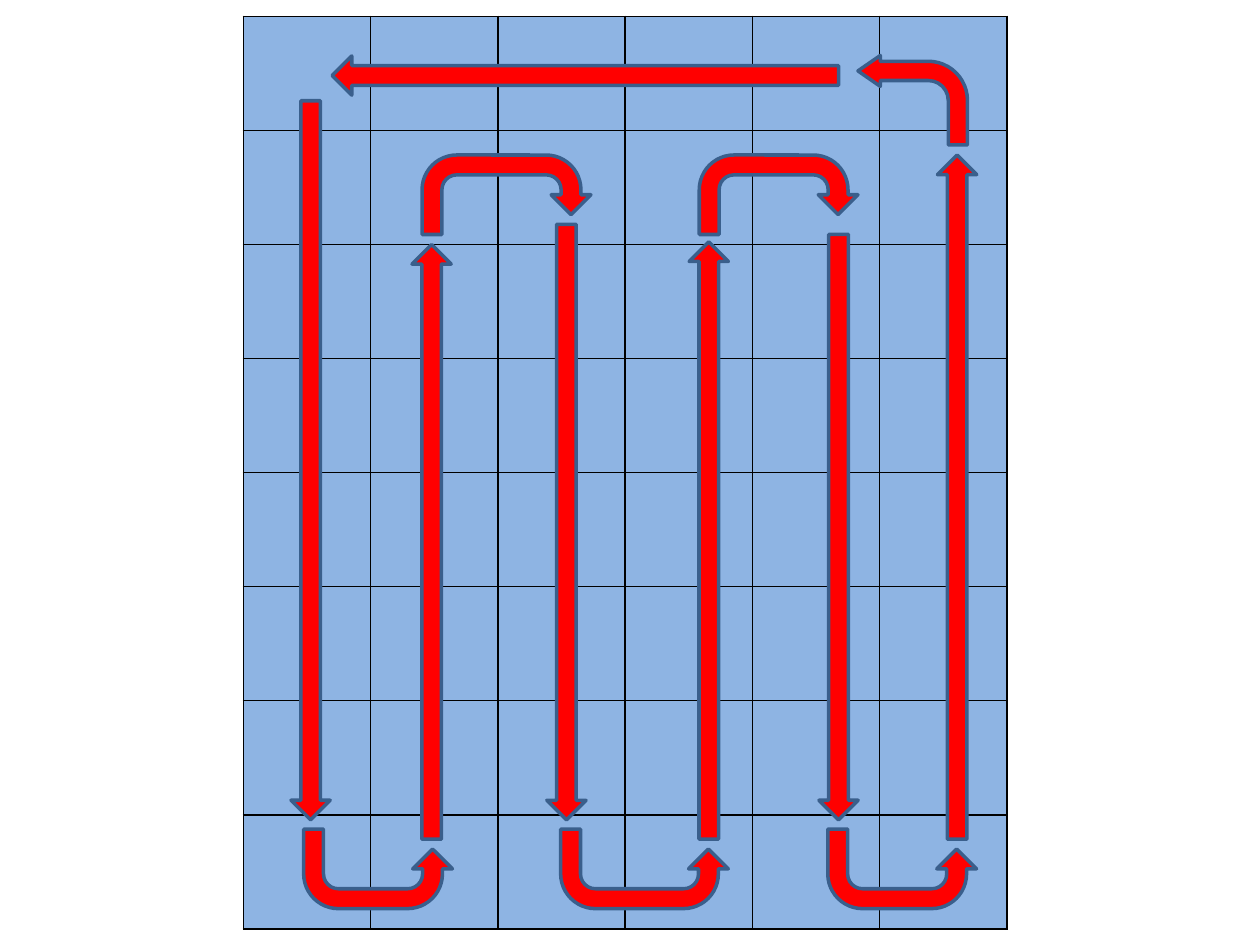
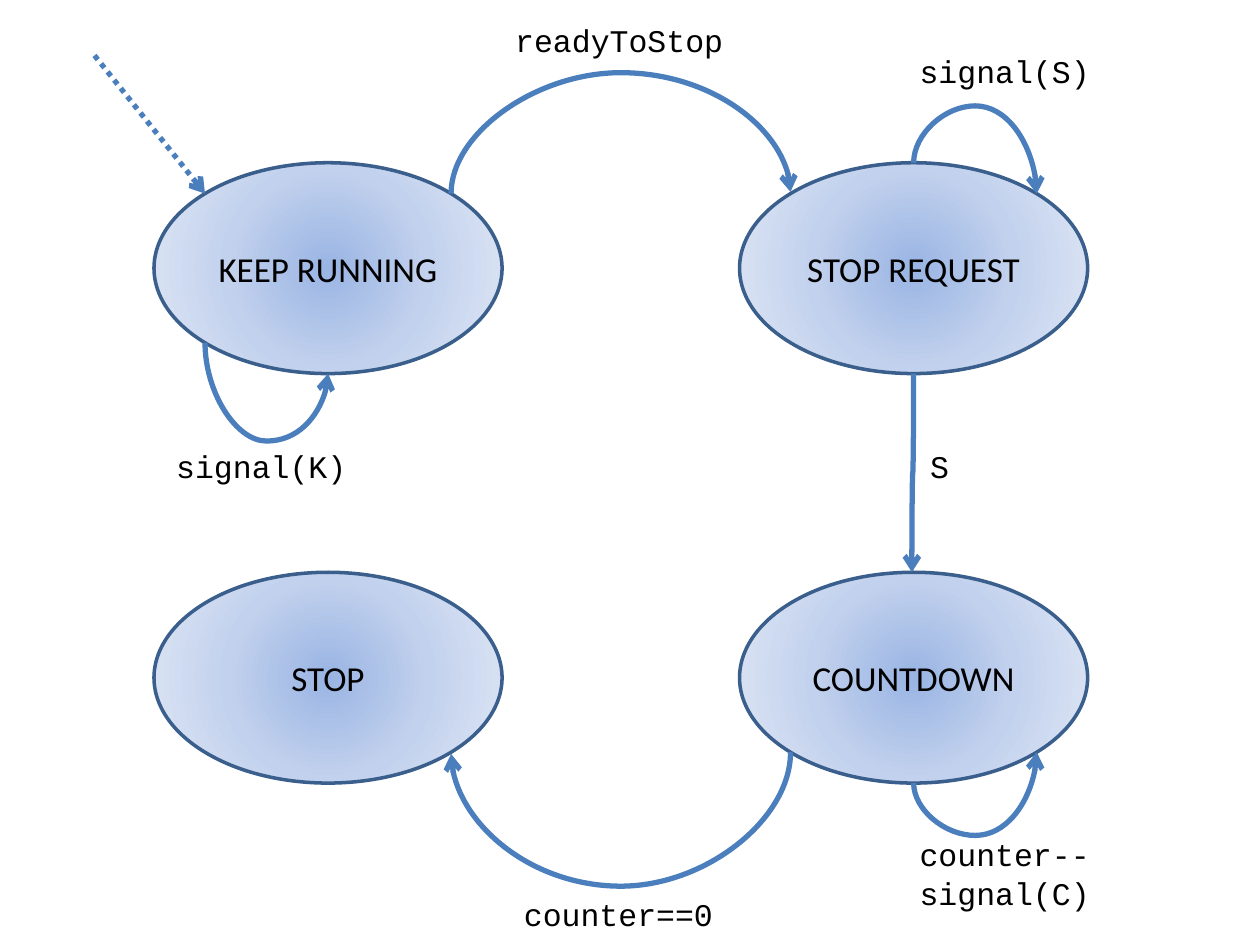
from dataclasses import dataclass
from math import cos, pi, sin
from typing import Optional

from lxml.etree import SubElement
from pptx import Presentation
from pptx.dml.color import RGBColor
from pptx.enum.dml import MSO_LINE
from pptx.enum.shapes import MSO_CONNECTOR as Wire, MSO_SHAPE as Preset
from pptx.enum.text import MSO_ANCHOR, MSO_AUTO_SIZE, PP_ALIGN
from pptx.oxml import parse_xml
from pptx.oxml.ns import nsdecls, qn
from pptx.util import Pt

COLOURS = {
    "cell": "8EB4E3", "border": "000000", "arrow": "FF0000", "outline": "3A5F8C",
    "wire": "4B7EBC", "text": "000000",
    "core": "9AB5E4", "middle": "C2D1ED", "rim": "E1E8F5",
}
STATE_FONT = {"name": "Calibri", "size": Pt(20)}
LABEL_FONT = {"name": "Courier New", "size": Pt(18)}
STATE_SIZE = (198.9, 120.5)
ARROW_WIDTH = 22.4
TURN_HEIGHT = 45.4

# Connection sites of an ellipse, counted anticlockwise from the top
TOP, TOP_LEFT, BOTTOM_LEFT, BOTTOM, BOTTOM_RIGHT, TOP_RIGHT = 0, 1, 3, 4, 5, 7


@dataclass(frozen=True)
class Arrow:
    preset: Preset
    left: float
    top: float
    width: float
    height: float
    rotation: int = 0
    flipped: bool = False
    adjustments: tuple = ()


@dataclass(frozen=True)
class State:
    text: str
    left: float
    top: float

    def site(self, index: int) -> tuple[float, float]:
        width, height = STATE_SIZE
        angle = index * pi / 4
        return (self.left + width / 2 * (1 - sin(angle)),
                self.top + height / 2 * (1 - cos(angle)))


@dataclass(frozen=True)
class Transition:
    source: State
    source_site: int
    target: State
    target_site: int
    bend: float


@dataclass(frozen=True)
class Label:
    text: str
    left: float
    top: float
    width: float
    align: Optional[PP_ALIGN] = None


def rgb(name: str) -> RGBColor:
    return RGBColor.from_string(COLOURS[name])


def set_line(shape, colour: str, width: float) -> None:
    shape.line.color.rgb = rgb(colour)
    shape.line.width = Pt(width)


def write(frame, text: str, font: dict, align: Optional[PP_ALIGN]) -> None:
    para = frame.paragraphs[0]
    para.alignment = align
    span = para.add_run()
    span.text = text
    for name, value in font.items():
        setattr(span.font, name, value)
    span.font.color.rgb = rgb("text")


# Sweep path over a grid
def draw_grid(page, rows: int, columns: int) -> None:
    table = page.shapes.add_table(rows, columns, Pt(139), Pt(9.4), Pt(436.5), Pt(521.5)).table
    table.first_row = table.horz_banding = False
    for cell in table.iter_cells():
        props = cell._tc.get_or_add_tcPr()
        for side in ("lnL", "lnR", "lnT", "lnB"):
            props.append(parse_xml(
                f'<a:{side} {nsdecls("a")} w="{Pt(1)}"><a:solidFill>'
                f'<a:srgbClr val="{COLOURS["border"]}"/></a:solidFill></a:{side}>'))
        cell.fill.solid()
        cell.fill.fore_color.rgb = rgb("cell")


def draw_arrow(page, arrow: Arrow) -> None:
    shape = page.shapes.add_shape(
        arrow.preset, Pt(arrow.left), Pt(arrow.top), Pt(arrow.width), Pt(arrow.height))
    shape.shadow.inherit = False
    shape.rotation = arrow.rotation
    if arrow.flipped:
        shape._element.spPr.xfrm.set("flipH", "1")
    for index, value in enumerate(arrow.adjustments):
        shape.adjustments[index] = value
    shape.fill.solid()
    shape.fill.fore_color.rgb = rgb("arrow")
    set_line(shape, "outline", 2)


def sweep_arrows() -> list[Arrow]:
    lanes = [(166.3, 57.6), (235.4, 139.7), (312.5, 128.2),
             (393.8, 138.2), (468, 133.9), (535.7, 88.6)]
    lower_turns = [(173.5, 85), (320.4, 95.8), (473, 85)]
    upper_turns = [(241.2, 96.5), (399.6, 90.7)]
    arrows = []
    for index, (left, top) in enumerate(lanes):
        upward = index % 2 == 1
        bottom = 479.5 if upward else 468.5
        arrows.append(Arrow(Preset.DOWN_ARROW, left, top, ARROW_WIDTH, bottom - top,
                            180 if upward else 0))
    arrows += [Arrow(Preset.U_TURN_ARROW, left, 473.8, width, TURN_HEIGHT, 180, True)
               for left, width in lower_turns]
    arrows += [Arrow(Preset.U_TURN_ARROW, left, 88.6, width, TURN_HEIGHT)
               for left, width in upper_turns]
    # Way back along the top row
    arrows.append(Arrow(Preset.BENT_ARROW, 490.3, 31.7, 62.6, 51.1, flipped=True,
                        adjustments=(0.215, 0.173, 0.25, 0.438)))
    arrows.append(Arrow(Preset.DOWN_ARROW, 323.3, -101.5, ARROW_WIDTH, 289.4, 90))
    return arrows


# State machine
def draw_state(page, state: State):
    width, height = STATE_SIZE
    shape = page.shapes.add_shape(
        Preset.OVAL, Pt(state.left), Pt(state.top), Pt(width), Pt(height))
    stops = "".join(
        f'<a:gs pos="{place}"><a:srgbClr val="{COLOURS[name]}"/></a:gs>'
        for place, name in ((0, "core"), (50000, "middle"), (100000, "rim")))
    shape._element.spPr.insert(2, parse_xml(
        f'<a:gradFill {nsdecls("a")} rotWithShape="1"><a:gsLst>{stops}</a:gsLst>'
        '<a:path path="circle"><a:fillToRect l="50000" t="50000" r="50000" b="50000"/>'
        '</a:path></a:gradFill>'))
    set_line(shape, "outline", 2)
    shape.shadow.inherit = False
    shape.text_frame.vertical_anchor = MSO_ANCHOR.MIDDLE
    write(shape.text_frame, state.text, STATE_FONT, PP_ALIGN.CENTER)
    return shape


def finish_wire(wire) -> None:
    set_line(wire, "wire", 3)
    SubElement(wire.line._get_or_add_ln(), qn("a:tailEnd"), type="arrow")
    SubElement(wire._element.spPr, qn("a:effectLst"))


def glue(wire, end: str, shape, site: int) -> None:
    props = wire._element.find(".//" + qn("p:cNvCxnSpPr"))
    SubElement(props, qn(f"a:{end}"), id=str(shape.shape_id), idx=str(site))


def draw_transition(page, step: Transition, shapes: dict) -> None:
    x0, y0 = step.source.site(step.source_site)
    x1, y1 = step.target.site(step.target_site)
    # A curve needs an extent of at least one point each way
    across = x1 - x0 if abs(x1 - x0) > 1 else -1
    down = y1 - y0 if abs(y1 - y0) > 1 else (-1 if across > 0 else 1)
    width, height = abs(down), abs(across)
    left = x0 + across / 2 - width / 2
    top = y0 + down / 2 - height / 2
    wire = page.shapes.add_connector(
        Wire.CURVE, Pt(left), Pt(top), Pt(left + width), Pt(top + height))

    # The curve leaves vertically, so its frame is turned a quarter
    frame = wire._element.spPr.xfrm
    frame.set("rot", str((270 if across > 0 and down > 0 else 90) * 60000))
    if across > 0:
        frame.set("flipH", "1")
        if down < 0:
            frame.set("flipV", "1")
    guides = wire._element.spPr.find(".//" + qn("a:avLst"))
    share = round((step.bend - y0) / down * 100000)
    SubElement(guides, qn("a:gd"), name="adj1", fmla=f"val {share}")
    glue(wire, "stCxn", shapes[step.source], step.source_site)
    glue(wire, "endCxn", shapes[step.target], step.target_site)
    finish_wire(wire)


def draw_entry(page, state: State, shapes: dict) -> None:
    x, y = state.site(TOP_LEFT)
    wire = page.shapes.add_connector(Wire.STRAIGHT, Pt(54), Pt(31.7), Pt(x), Pt(y))
    glue(wire, "endCxn", shapes[state], TOP_LEFT)
    wire.line.dash_style = MSO_LINE.ROUND_DOT
    finish_wire(wire)


def draw_label(page, label: Label) -> None:
    box = page.shapes.add_textbox(Pt(label.left), Pt(label.top), Pt(label.width), Pt(29))
    box.text_frame.word_wrap = False
    box.text_frame.auto_size = MSO_AUTO_SIZE.SHAPE_TO_FIT_TEXT
    write(box.text_frame, label.text, LABEL_FONT, label.align)


def build_sweep(page) -> None:
    draw_grid(page, rows=8, columns=6)
    for arrow in sweep_arrows():
        draw_arrow(page, arrow)


def build_states(page) -> None:
    left, right, upper, lower = 88, 422.6, 93, 327
    countdown = State("COUNTDOWN", right, lower)
    request = State("STOP REQUEST", right, upper)
    running = State("KEEP RUNNING", left, upper)
    stop = State("STOP", left, lower)
    shapes = {state: draw_state(page, state)
              for state in (countdown, request, running, stop)}

    draw_entry(page, running, shapes)
    for step in (
        Transition(running, TOP_RIGHT, request, TOP_LEFT, 41),
        Transition(request, BOTTOM, countdown, TOP, 270.3),
        Transition(countdown, BOTTOM_LEFT, stop, BOTTOM_RIGHT, 507),
        Transition(running, BOTTOM_LEFT, running, BOTTOM, 252),
        Transition(countdown, BOTTOM, countdown, BOTTOM_RIGHT, 477.4),
        Transition(request, TOP, request, TOP_RIGHT, 60.5),
    ):
        draw_transition(page, step, shapes)

    for label in (
        Label("readyToStop", 287.3, 8.6, 135.4),
        Label("S", 524.2, 252, 25.2, PP_ALIGN.RIGHT),
        Label("counter--", 518.4, 473.8, 113),
        Label("counter==0", 292.3, 507.6, 124.6),
        Label("signal(C)", 518.4, 496.1, 113),
        Label("signal(S)", 518.4, 25.9, 113),
        Label("signal(K)", 93.6, 252, 113),
    ):
        draw_label(page, label)


def main() -> None:
    deck = Presentation()
    deck.slide_width, deck.slide_height = Pt(720), Pt(540)
    blank = deck.slide_layouts[6]
    for build in (build_sweep, build_states):
        build(deck.slides.add_slide(blank))
    deck.save("out.pptx")


if __name__ == "__main__":
    main()
